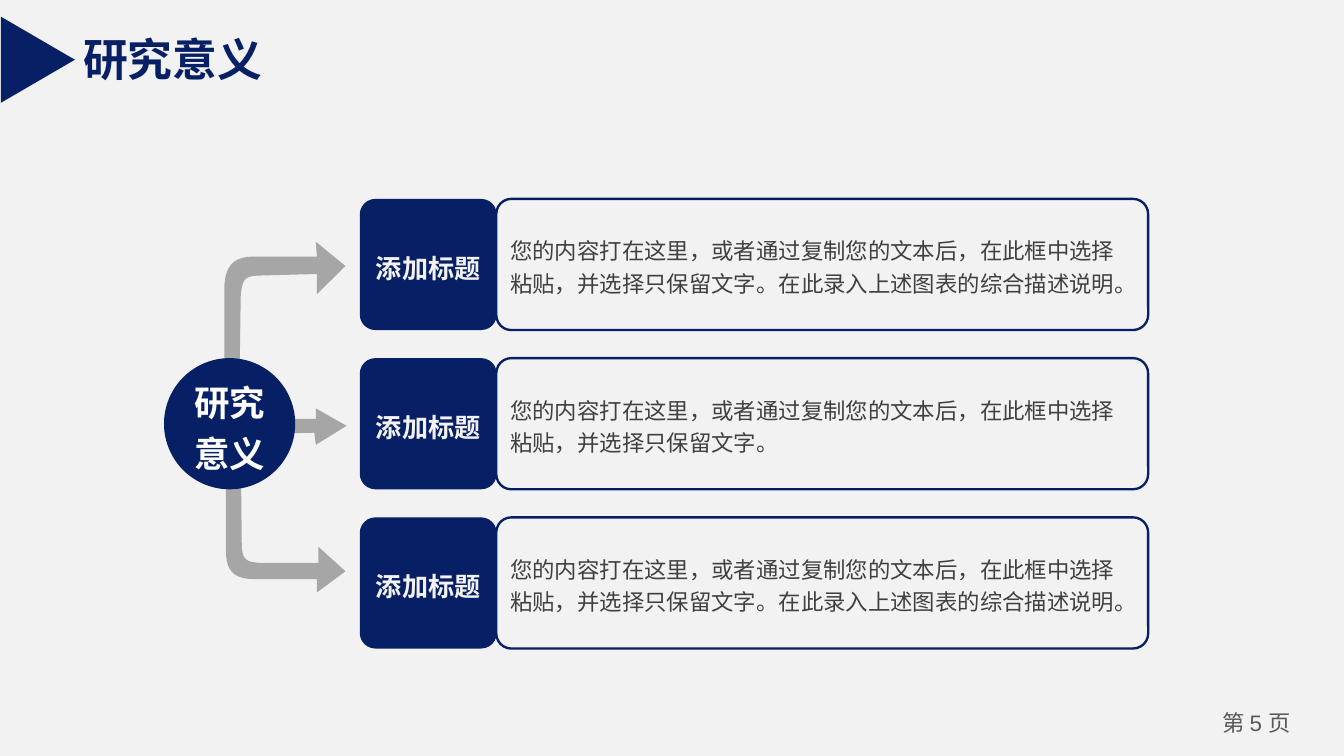
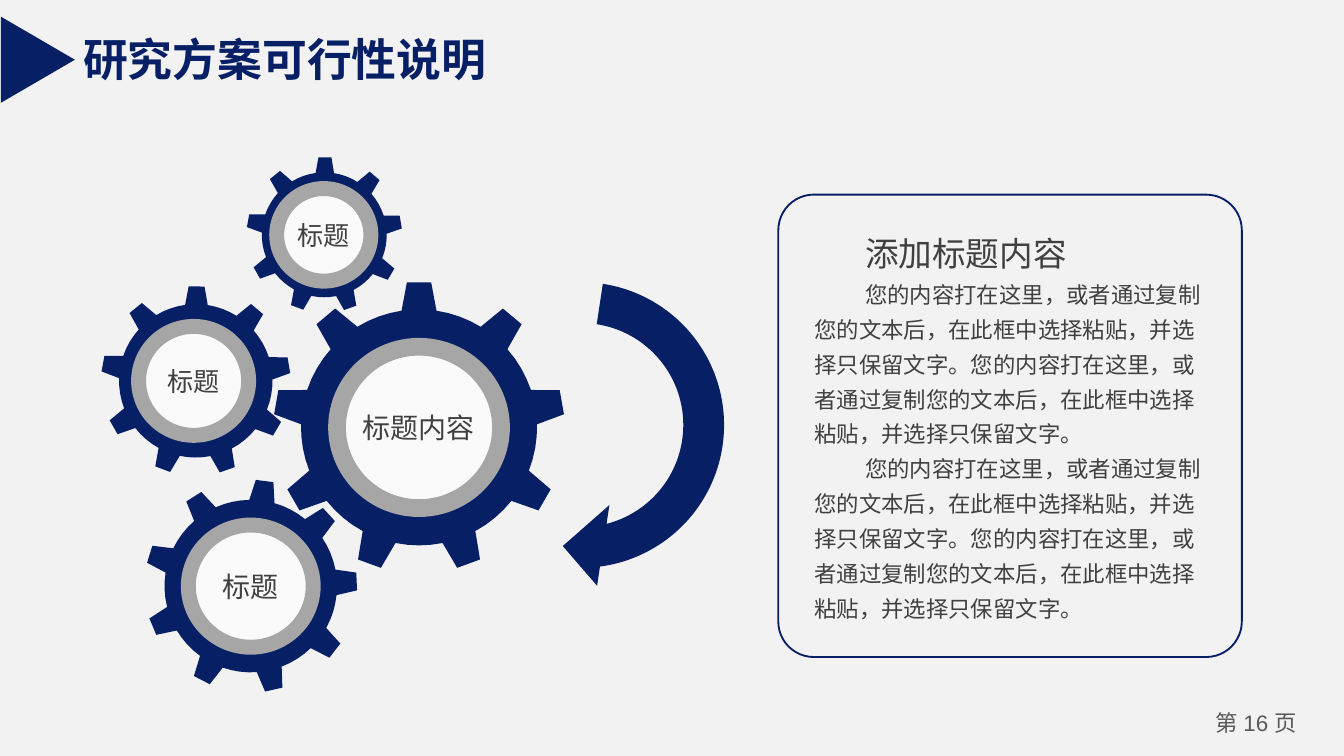
from math import cos, radians, sin

from lxml.etree import SubElement
from pptx import Presentation
from pptx.dml.color import RGBColor
from pptx.enum.shapes import MSO_SHAPE as Shape
from pptx.enum.text import MSO_ANCHOR as Anchor, MSO_AUTO_SIZE as AutoSize, PP_ALIGN as Align
from pptx.oxml.ns import qn
from pptx.util import Cm, Pt

NAVY = RGBColor(0x07, 0x1F, 0x65)
GREY = RGBColor(0xA6, 0xA6, 0xA6)
PALE = RGBColor(0xF2, 0xF2, 0xF2)
NEAR_WHITE = RGBColor(0xFA, 0xFA, 0xFA)
WHITE = RGBColor(0xFF, 0xFF, 0xFF)
DARK = RGBColor(0x40, 0x40, 0x40)
FOOTER_GREY = RGBColor(0x59, 0x59, 0x59)
LATIN_FONT, CHINESE_FONT = "Arial", "Noto Sans CJK SC"

# Slide 1, lengths in cm
SHORT_TEXT = "您的内容打在这里，或者通过复制您的文本后，在此框中选择粘贴，并选择只保留文字。"
LONG_TEXT = SHORT_TEXT + "在此录入上述图表的综合描述说明。"
ROWS = [("添加标题", LONG_TEXT), ("添加标题", SHORT_TEXT), ("添加标题", LONG_TEXT)]
ROW_TOP, ROW_PITCH, ROW_HEIGHT = 3.76, 3.01, 2.48
LABEL_LEFT, LABEL_WIDTH = 6.8, 2.59
BODY_LEFT, BODY_WIDTH = 9.38, 12.32
HUB_LEFT, HUB_SIZE = 3.1, 2.48

# Two numbers are a corner, six are a Bézier curve
ARROWS = [
    [(4.55, 8.41), (4.57, 10.29), (4.57, 10.62, 4.7, 10.62, 4.9, 10.64),
     (6.02, 10.64), (6.02, 10.34), (6.53, 10.8), (5.99, 11.2), (5.99, 10.95),
     (4.83, 10.95), (4.39, 10.95, 4.27, 10.77, 4.27, 10.39), (4.27, 8.36),
     (4.29, 8.03, 4.47, 8.05, 4.55, 8.41)],
    [(3.84, 8.23), (5.94, 8.18), (5.97, 8.41), (6.55, 8.05), (5.97, 7.72),
     (5.97, 7.92), (3.84, 7.92)],
    [(4.52, 7.8), (4.55, 5.61), (4.57, 5.23, 4.67, 5.23, 4.88, 5.21),
     (5.99, 5.18), (5.99, 5.56), (6.53, 5.03), (5.97, 4.57), (5.99, 4.85),
     (4.8, 4.85), (4.39, 4.85, 4.24, 5.05, 4.24, 5.49), (4.24, 7.85),
     (4.29, 8.23, 4.47, 8.2, 4.52, 7.8)],
]

# Slide 2: label, centre, body radius, tooth radius, turn, disc centre x,
# disc width and height, ring width, text size
GEARS = [
    ("标题内容", (7.92, 8.08), 2.23, 2.75, 0, 7.92, (3.1, 3.05), 9.5, 15),
    ("标题", (4.74, 11.08), 1.63, 2.01, 7.5, 4.74, (2.36, 2.31), 8, 15),
    ("标题", (3.7, 7.2), 1.45, 1.79, 0.5, 3.66, (2.08, 2.06), 8, 14),
    ("标题", (6.13, 4.44), 1.18, 1.47, 0.5, 6.12, (1.78, 1.75), 8, 14),
]
TEETH = 9
TOOTH_PROFILE = [(-8.5, False), (-4.8, True), (4.8, True), (8.5, False),
                 (14.25, False), (20, False), (25.75, False)]
PANEL_TEXTS = [("添加标题内容", 18, 2.0), (SHORT_TEXT * 2, 12, 1.3), (SHORT_TEXT * 2, 12, 1.3)]


def style_run(run, size, color, bold=False, latin=CHINESE_FONT):
    font = run.font
    font.size, font.bold, font.name = Pt(size), bold, latin
    font.color.rgb = color
    east_asian = SubElement(run._r.get_or_add_rPr(), qn("a:ea"))
    east_asian.set("typeface", CHINESE_FONT)


def set_margins(text_frame, horizontal, vertical):
    text_frame.margin_left = text_frame.margin_right = Cm(horizontal)
    text_frame.margin_top = text_frame.margin_bottom = Cm(vertical)


def paint(shape, fill=None, line=None, line_width=1.0):
    shape.shadow.inherit = False
    if fill is None:
        shape.fill.background()
    else:
        shape.fill.solid()
        shape.fill.fore_color.rgb = fill
    if line is None:
        shape.line.fill.background()
    else:
        shape.line.color.rgb = line
        shape.line.width = Pt(line_width)


def add_preset(shapes, preset, left, top, width, height, rounding=None, **colours):
    shape = shapes.add_shape(preset, Cm(left), Cm(top), Cm(width), Cm(height))
    if rounding is not None:
        shape.adjustments[0] = rounding
    paint(shape, **colours)
    return shape


def add_label(shape, text, size, color, margins=(0.18, 0.08), align=Align.CENTER,
              line_spacing=None, bold=False, latin=CHINESE_FONT):
    text_frame = shape.text_frame
    text_frame.text = text
    text_frame.word_wrap = True
    text_frame.vertical_anchor = Anchor.MIDDLE
    set_margins(text_frame, *margins)
    paragraph = text_frame.paragraphs[0]
    paragraph.alignment = align
    paragraph.line_spacing = line_spacing
    style_run(paragraph.runs[0], size, color, bold, latin)


def add_outline(slide, points, fill):
    corners = [(Cm(x), Cm(y)) for x, y in points]
    builder = slide.shapes.build_freeform(*corners[0], scale=1.0)
    builder.add_line_segments(corners[1:], close=True)
    paint(builder.convert_to_shape(), fill=fill)


def flatten(outline, steps=10):
    """Replace each Bézier curve of an outline by short straight pieces."""
    points = []
    for part in outline:
        if len(part) == 2:
            points.append(part)
            continue
        controls = [points[-1], part[:2], part[2:4], part[4:]]
        for step in range(1, steps + 1):
            t = step / steps
            weights = ((1 - t) ** 3, 3 * t * (1 - t) ** 2, 3 * t * t * (1 - t), t ** 3)
            points.append(tuple(sum(w * c[axis] for w, c in zip(weights, controls))
                                for axis in (0, 1)))
    return points


def gear_points(centre, body_radius, tooth_radius, turn):
    points = []
    for tooth in range(TEETH):
        for offset, is_tip in TOOTH_PROFILE:
            angle = radians(tooth * 360 / TEETH + offset + turn)
            radius = tooth_radius if is_tip else body_radius
            points.append((centre[0] + radius * sin(angle), centre[1] - radius * cos(angle)))
    return points


def add_page(presentation, title, number):
    """Add a slide with the shared background, title, marker and page number."""
    slide = presentation.slides.add_slide(presentation.slide_layouts[6])
    slide.background.fill.solid()
    slide.background.fill.fore_color.rgb = PALE

    footer = slide.shapes.add_textbox(Cm(22.6), Cm(13.31), Cm(2.29), Cm(0.76))
    footer.text_frame.word_wrap = True
    set_margins(footer.text_frame, 0.18, 0.1)
    paragraph = footer.text_frame.paragraphs[0]
    paragraph.alignment = Align.CENTER
    for text, latin in (("第 ", CHINESE_FONT), (f"{number} ", LATIN_FONT), ("页", CHINESE_FONT)):
        run = paragraph.add_run()
        run.text = text
        style_run(run, 12, FOOTER_GREY, latin=latin)

    heading = slide.shapes.add_textbox(Cm(1.32), Cm(0.48), Cm(0.54 + 0.85 * len(title)), Cm(1.27))
    heading.text_frame.text = title
    heading.text_frame.word_wrap = False
    heading.text_frame.auto_size = AutoSize.SHAPE_TO_FIT_TEXT
    style_run(heading.text_frame.paragraphs[0].runs[0], 24, NAVY, True, LATIN_FONT)

    marker = add_preset(slide.shapes, Shape.ISOSCELES_TRIANGLE, -0.1, 0.43, 1.63, 1.4, fill=NAVY)
    marker.rotation = 90
    return slide


def build_significance(presentation):
    slide = add_page(presentation, "研究意义", 5)
    for outline in ARROWS:
        add_outline(slide, flatten(outline), GREY)
    for index, (label, text) in enumerate(ROWS):
        top = ROW_TOP + index * ROW_PITCH
        body = add_preset(slide.shapes, Shape.ROUNDED_RECTANGLE, BODY_LEFT, top, BODY_WIDTH,
                          ROW_HEIGHT, rounding=0.115, line=NAVY, line_width=1.25)
        add_label(body, text, 12, DARK, align=Align.LEFT, line_spacing=1.2)
        tab = add_preset(slide.shapes, Shape.ROUNDED_RECTANGLE, LABEL_LEFT, top, LABEL_WIDTH,
                         ROW_HEIGHT, rounding=0.119, fill=NAVY)
        add_label(tab, label, 14, PALE, line_spacing=1.2, bold=True)
    hub = add_preset(slide.shapes, Shape.OVAL, HUB_LEFT, ROW_TOP + ROW_PITCH,
                     HUB_SIZE, HUB_SIZE, fill=NAVY)
    add_label(hub, "研究意义", 19, WHITE, line_spacing=1.2, bold=True, latin=LATIN_FONT)


def add_text_panel(slide):
    group = slide.shapes.add_group_shape()
    add_preset(group.shapes, Shape.ROUNDED_RECTANGLE, 14.71, 3.68, 8.76, 8.74,
               rounding=0.077, line=NAVY)
    box = group.shapes.add_textbox(Cm(15.14), Cm(3.51), Cm(7.92), Cm(9.07))
    text_frame = box.text_frame
    text_frame.text = "\n".join(text for text, _, _ in PANEL_TEXTS)
    text_frame.word_wrap = True
    text_frame.auto_size = AutoSize.SHAPE_TO_FIT_TEXT
    for paragraph, (_, size, spacing) in zip(text_frame.paragraphs, PANEL_TEXTS):
        paragraph.line_spacing = spacing
        paragraph._p.get_or_add_pPr().set("indent", str(Cm(0.96)))
        style_run(paragraph.runs[0], size, DARK)


def build_feasibility(presentation):
    slide = add_page(presentation, "研究方案可行性说明", 16)
    for label, centre, body, tooth, turn, disc_x, (width, height), ring, size in GEARS:
        add_outline(slide, gear_points(centre, body, tooth, turn), NAVY)
        disc = add_preset(slide.shapes, Shape.OVAL, disc_x - width / 2, centre[1] - height / 2,
                          width, height, fill=NEAR_WHITE, line=GREY, line_width=ring)
        add_label(disc, label, size, DARK, margins=(0, 0))
    turning_arrow = add_preset(slide.shapes, Shape.CIRCULAR_ARROW, 7.9, 4.95, 6.17, 6.17, fill=NAVY)
    turning_arrow.rotation = 98.7
    add_text_panel(slide)


def main():
    presentation = Presentation()
    presentation.slide_width, presentation.slide_height = Cm(25.4), Cm(14.29)
    build_significance(presentation)
    build_feasibility(presentation)
    presentation.save("out.pptx")


if __name__ == "__main__":
    main()
